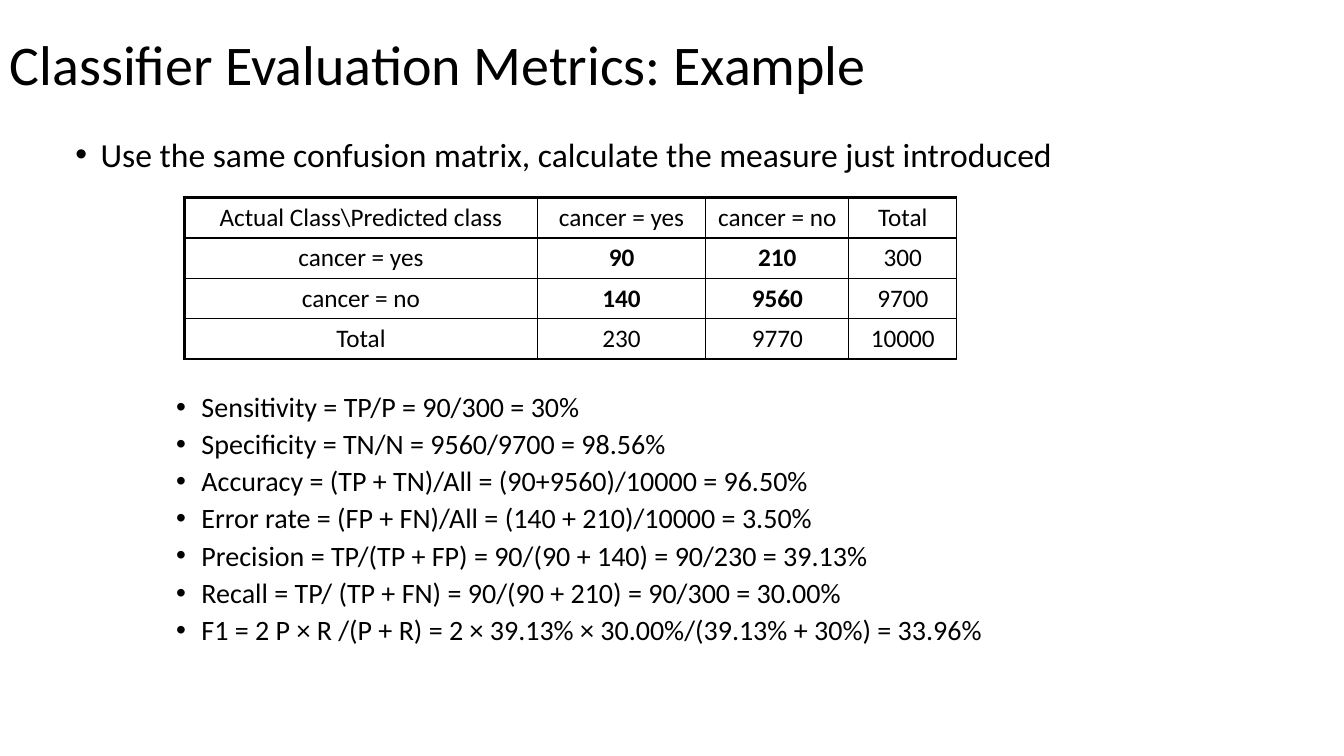
from lxml import etree
from pptx import Presentation
from pptx.dml.color import RGBColor
from pptx.enum.text import MSO_ANCHOR, PP_ALIGN
from pptx.oxml.ns import qn
from pptx.util import Inches, Pt

BLACK = RGBColor(0, 0, 0)
FONT = "Calibri"
CENTER = PP_ALIGN.CENTER
MIDDLE = MSO_ANCHOR.MIDDLE
TOP = MSO_ANCHOR.TOP
THIN, THICK = 1, 2.25

ROWS = [
    ["Actual Class\\Predicted class", "cancer = yes", "cancer = no", "Total"],
    ["cancer = yes", "90", "210", "300"],
    ["cancer = no", "140", "9560", "9700"],
    ["Total", "230", "9770", "10000"],
]
WIDTHS = [3.5, 1.67, 1.42, 1.07]
HEIGHT = 0.4
METRICS = [
    "Sensitivity = TP/P = 90/300 = 30%",
    "Specificity = TN/N = 9560/9700 = 98.56%",
    "Accuracy = (TP + TN)/All = (90+9560)/10000 = 96.50%",
    "Error rate = (FP + FN)/All = (140 + 210)/10000 = 3.50%",
    "Precision = TP/(TP + FP) = 90/(90 + 140) = 90/230 = 39.13%",
    "Recall = TP/ (TP + FN) = 90/(90 + 210) = 90/300 = 30.00%",
    "F1 = 2 P × R /(P + R) = 2 × 39.13% × 30.00%/(39.13% + 30%) = 33.96%",
]


def style(para, size, bold=False):
    for run in para.runs:
        run.font.name = FONT
        run.font.size = Pt(size)
        run.font.bold = bold
        run.font.color.rgb = BLACK


def add_bullet(para):
    props = para._p.get_or_add_pPr()
    props.set("marL", str(Inches(0.25)))
    props.set("indent", str(Inches(-0.25)))
    font = etree.SubElement(props, qn("a:buFont"))
    font.set("typeface", "Arial")
    mark = etree.SubElement(props, qn("a:buChar"))
    mark.set("char", "•")


def add_text(slide, place, lines, size, anchor=TOP, bullet=True):
    box = slide.shapes.add_textbox(*map(Inches, place))
    frame = box.text_frame
    frame.word_wrap = True
    frame.vertical_anchor = anchor
    frame.text = "\n".join(lines)
    for i, para in enumerate(frame.paragraphs):
        if bullet:
            add_bullet(para)
        para.line_spacing = 0.9
        para.space_before = Pt(5 if i else 0)
        style(para, size)


def add_border(cell, side, width):
    line = etree.SubElement(cell._tc.get_or_add_tcPr(), qn("a:ln" + side))
    line.set("w", str(Pt(width)))
    fill = etree.SubElement(line, qn("a:solidFill"))
    color = etree.SubElement(fill, qn("a:srgbClr"))
    color.set("val", str(BLACK))


def fill_cell(cell, text, row, col):
    last = len(ROWS) - 1
    cell.text = text
    para = cell.text_frame.paragraphs[0]
    para.alignment = CENTER
    style(para, 18, bold=row in (1, 2) and col in (1, 2))
    add_border(cell, "L", THIN if col else THICK)
    add_border(cell, "R", THIN)
    add_border(cell, "T", THIN if row else THICK)
    add_border(cell, "B", THICK if row == last else THIN)
    cell.fill.background()


def add_matrix(slide, left, top):
    size = (sum(WIDTHS), HEIGHT * len(ROWS))
    frame = slide.shapes.add_table(
        len(ROWS), len(WIDTHS), *map(Inches, (left, top, *size)))
    table = frame.table
    table.first_row = False
    table.horz_banding = False
    for column, width in zip(table.columns, WIDTHS):
        column.width = Inches(width)
    for r, texts in enumerate(ROWS):
        table.rows[r].height = Inches(HEIGHT)
        for c, text in enumerate(texts):
            fill_cell(table.cell(r, c), text, r, c)


def main():
    deck = Presentation()
    deck.slide_width = Inches(13.33)
    deck.slide_height = Inches(7.5)
    slide = deck.slides.add_slide(deck.slide_layouts[6])
    add_text(slide, (0, 0.25, 13.33, 0.83),
             ["Classifier Evaluation Metrics: Example"], 40, MIDDLE, False)
    add_text(slide, (0.65, 1.32, 10.57, 0.5),
             ["Use the same confusion matrix, calculate the measure just "
              "introduced"], 24)
    add_matrix(slide, 1.83, 1.96)
    add_text(slide, (1.65, 3.85, 9.57, 2.75), METRICS, 20)
    deck.save("out.pptx")


if __name__ == "__main__":
    main()
